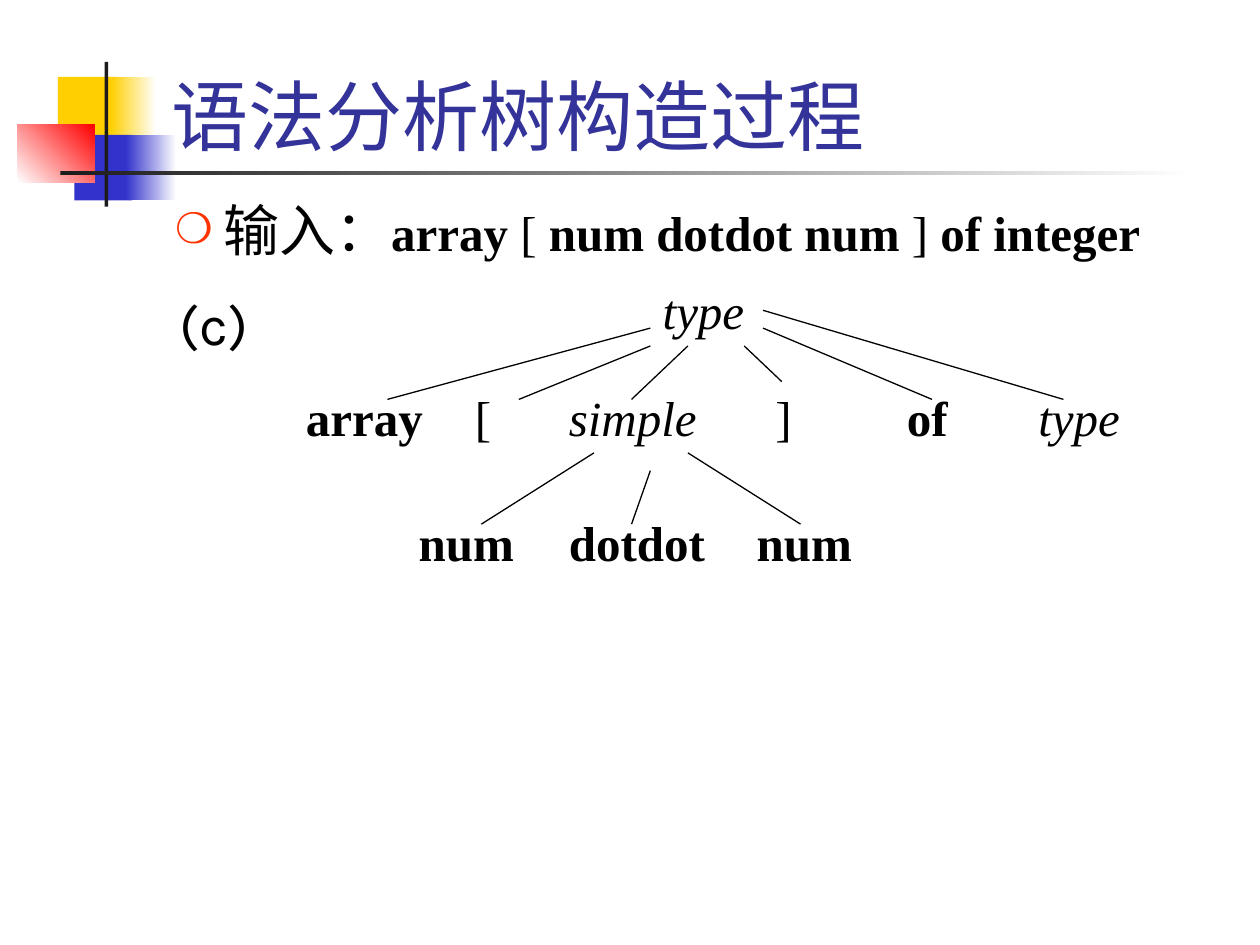
import pptx
import pptx.util
import pptx.dml.color
import pptx.enum.shapes
import pptx.enum.text
import pptx.oxml
import pptx.oxml.ns
from lxml import etree

THEME = {
    "title": "333399", "text": "000000", "bullet": "FF3300", "white": "FFFFFF",
    "yellow": "FFCF01", "blue": "3333CC", "red": "FF0000", "dark": "1C1C1C",
    "font": "Times New Roman", "label_font": "Karla",
    "title_size": 44, "body_size": 32, "tree_size": 28, "line": 0.75,
}
WIDTH, HEIGHT = 10, 7.5

DECOR = [
    ((0.46, 0.61, 0.48, 0.52), ("yellow",), 0),
    ((0.88, 0.61, 0.36, 0.52), ("yellow", "white"), 0),
    ((0.59, 1.07, 0.46, 0.52), ("blue",), 0),
    ((1, 1.07, 0.4, 0.52), ("blue", "white"), 0),
    ((0.14, 0.99, 0.61, 0.46), ("white", "red"), 45),
    ((0.83, 0.49, 0.03, 1.15), ("dark",), 0),
    ((0.48, 1.36, 9, 0.03), ("dark", "white"), 0),
]
TITLE = "语法分析树构造过程"
INPUT_LABEL = "输入："
INPUT = [("array ", True), ("[ ", False), ("num dotdot num ", True),
         ("] ", False), ("of integer", True)]
STEP = "(c)"

TREE_LEFT, TREE_TOP = 2.33, 2.18
COL, ROW = 6.11 / 41, 0.99 / 7
NODE_COLS, NODE_HEIGHT = 14, 0.57
BOLD, ITALIC, PLAIN = {"bold": True}, {"italic": True}, {}
NODES = [
    ("type", 19, 0, ITALIC),
    ("array", 0, 6, BOLD), ("[", 9, 6, PLAIN), ("simple", 14, 6, ITALIC),
    ("]", 25, 6, PLAIN), ("of", 32, 6, BOLD), ("type", 39, 6, ITALIC),
    ("num", 6, 13, BOLD), ("dotdot", 14, 13, BOLD), ("num", 24, 13, BOLD),
]
BRANCHES = [
    (19, 3, 5, 7), (19, 4, 12, 7), (21, 4, 18, 7),
    (24, 4, 26, 6), (25, 3, 34, 7), (25, 2, 41, 7),
    (16, 10, 10, 14), (19, 11, 18, 14), (21, 10, 27, 14),
]


def rgb(name):
    return pptx.dml.color.RGBColor.from_string(THEME[name])


def inches(*values):
    return [pptx.util.Inches(v) for v in values]


def place(s, *box):
    s.left, s.top, s.width, s.height = inches(*box)


def add_text(p, text, size="tree_size", font="font", color="text", bold=False, italic=False):
    r = p.add_run()
    r.text = text
    f = r.font
    f.name, f.size = THEME[font], pptx.util.Pt(THEME[size])
    f.bold, f.italic = bold, italic
    f.color.rgb = rgb(color)


def add_box(sp, box, text, **fmt):
    s = sp.add_textbox(*inches(*box))
    s.text_frame.word_wrap = True
    add_text(s.text_frame.paragraphs[0], text, **fmt)


def add_block(sp, box, colors, angle):
    s = sp.add_shape(pptx.enum.shapes.MSO_SHAPE.RECTANGLE, *inches(*box))
    s.shadow.inherit = False
    s.line.fill.background()
    if len(colors) == 1:
        s.fill.solid()
        s.fill.fore_color.rgb = rgb(colors[0])
        return
    s.fill.gradient()
    s.fill.gradient_angle = angle
    for stop, color in zip(s.fill.gradient_stops, colors):
        stop.color.rgb = rgb(color)


def add_bullet(p, char, color, percent):
    pPr = p._p.get_or_add_pPr()
    indent = pptx.util.Inches(0.38)
    pPr.set("marL", str(indent))
    pPr.set("indent", str(-indent))
    qn = pptx.oxml.ns.qn
    clr = etree.SubElement(pPr, qn("a:buClr"))
    etree.SubElement(clr, qn("a:srgbClr")).set("val", THEME[color])
    etree.SubElement(pPr, qn("a:buSzPct")).set("val", str(percent * 1000))
    etree.SubElement(pPr, qn("a:buChar")).set("char", char)


def add_branch(sp, *ends):
    x1, y1, x2, y2 = ends
    s = sp.add_connector(
        pptx.enum.shapes.MSO_CONNECTOR.STRAIGHT,
        *inches(TREE_LEFT + x1 * COL, TREE_TOP + y1 * ROW,
                TREE_LEFT + x2 * COL, TREE_TOP + y2 * ROW))
    s.line.color.rgb = rgb("text")
    s.line.width = pptx.util.Pt(THEME["line"])
    etree.SubElement(s._element.spPr, pptx.oxml.ns.qn("a:effectLst"))


def main():
    prs = pptx.Presentation()
    prs.slide_width, prs.slide_height = inches(WIDTH, HEIGHT)
    slide = prs.slides.add_slide(prs.slide_layouts[1])
    sp = slide.shapes
    for block in DECOR:
        add_block(sp, *block)

    title, body = slide.placeholders
    place(title, 1.26, 0.08, 8.52, 1.25)
    place(body, 1.29, 1.5, 8.5, 0.67)
    for s in (title, body):
        s.text_frame.auto_size = pptx.enum.text.MSO_AUTO_SIZE.NONE
    title.text_frame.vertical_anchor = pptx.enum.text.MSO_ANCHOR.BOTTOM
    p = title.text_frame.paragraphs[0]
    p.alignment = pptx.enum.text.PP_ALIGN.LEFT
    add_text(p, TITLE, size="title_size", color="title")

    p = body.text_frame.paragraphs[0]
    p.space_before = pptx.util.Pt(7)
    add_bullet(p, "❍", "bullet", 75)
    add_text(p, INPUT_LABEL, size="body_size")
    for text, bold in INPUT:
        add_text(p, text, bold=bold)

    add_box(sp, (1.33, 2.25, 0.83, 4.58), STEP, size="body_size", font="label_font")
    for text, col, row, fmt in NODES:
        left, top = TREE_LEFT + col * COL, TREE_TOP + row * ROW
        width = min(NODE_COLS * COL, WIDTH - left)
        add_box(sp, (left, top, width, NODE_HEIGHT), text, **fmt)
    for branch in BRANCHES:
        add_branch(sp, *branch)
    prs.save("out.pptx")


if __name__ == "__main__":
    main()
